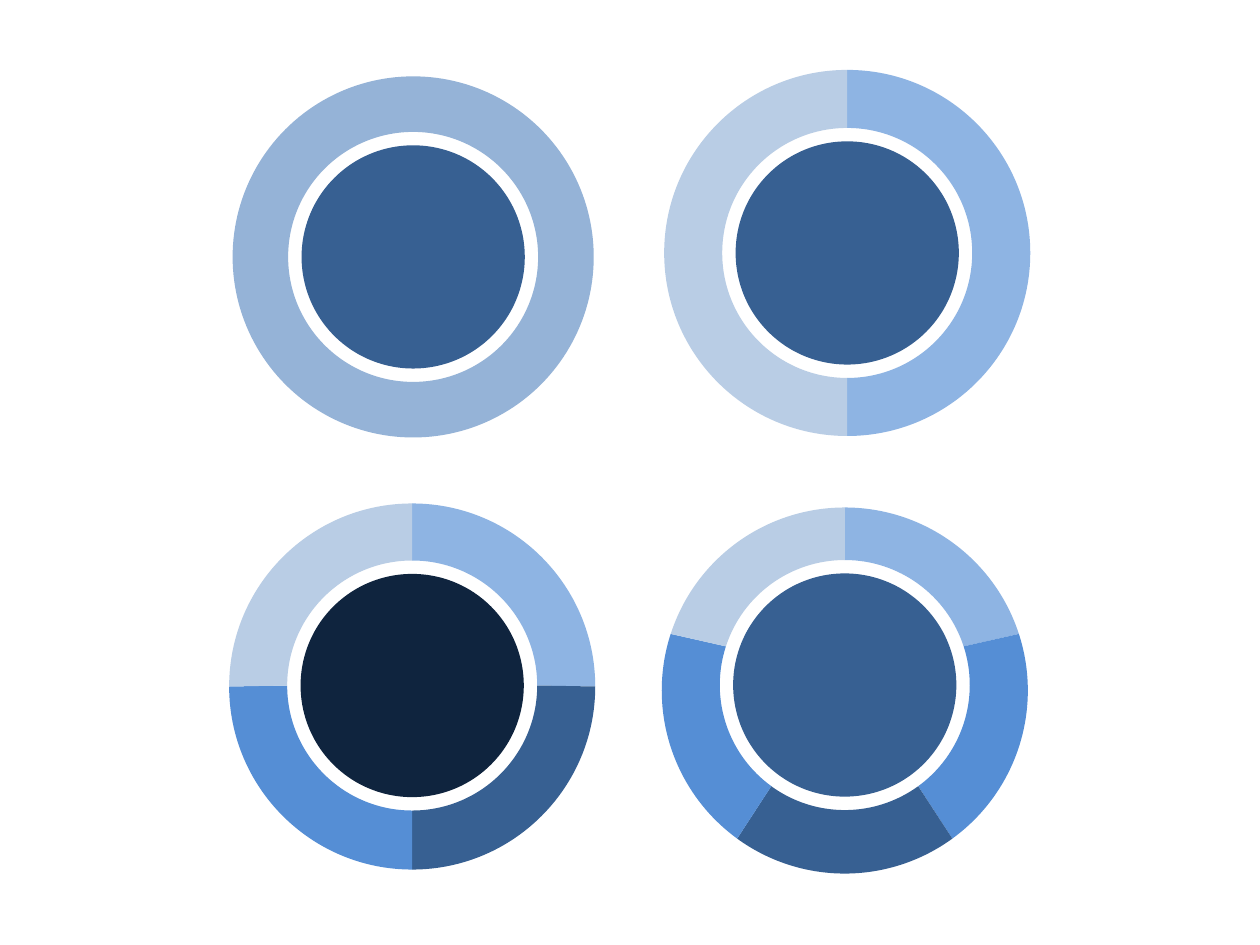
from dataclasses import dataclass
from math import cos, radians, sin, tan

from lxml import etree
from pptx import Presentation
from pptx import util as u
from pptx.dml.color import RGBColor
from pptx.enum import shapes
from pptx.oxml.ns import qn


@dataclass(frozen=True)
class Theme:
    pale: str = "B9CDE5"
    soft: str = "95B3D7"
    light: str = "8EB4E3"
    mid: str = "558ED5"
    dark: str = "376092"
    navy: str = "0F243E"


@dataclass(frozen=True)
class Wheel:
    """A hub inside a ring cut into equal sectors, clockwise from the top (cm)."""
    x: float
    ring_y: float
    hub_y: float
    outer_radius: float
    hub_color: str
    sector_colors: tuple[str, ...]


THEME = Theme()
INNER_RADIUS = 2.52
HUB_RADIUS = 2.25

WHEELS = (
    Wheel(8.33, 5.18, 5.18, 3.64, THEME.dark, (THEME.soft,)),
    Wheel(17.08, 5.1, 5.1, 3.69, THEME.dark, (THEME.light, THEME.pale)),
    Wheel(8.31, 13.84, 13.82, 3.69, THEME.navy,
          (THEME.light, THEME.dark, THEME.mid, THEME.pale)),
    Wheel(17.03, 13.92, 13.81, 3.69, THEME.dark,
          (THEME.light, THEME.mid, THEME.dark, THEME.mid, THEME.pale)),
)


def paint(shape, color: str) -> None:
    shape.shadow.inherit = False
    shape.fill.solid()
    shape.fill.fore_color.rgb = RGBColor.from_string(color)
    shape.line.fill.background()


def add_round(group, kind, x: float, y: float, radius: float, color: str):
    shape = group.shapes.add_shape(
        kind, u.Cm(x - radius), u.Cm(y - radius), u.Cm(2 * radius), u.Cm(2 * radius))
    paint(shape, color)
    return shape


def arc(x: float, y: float, radius: float, angles: list[float]) -> list:
    """Bézier points through the angles, in degrees clockwise from the top."""
    def point(angle: float, along: float = 0):
        a = radians(angle)
        return (u.Cm(x + radius * (sin(a) + along * cos(a))),
                u.Cm(y - radius * (cos(a) - along * sin(a))))

    points = [point(angles[0])]
    for start, end in zip(angles, angles[1:]):
        handle = 4 / 3 * tan(radians(end - start) / 4)
        points += [point(start, handle), point(end, -handle), point(end)]
    return points


def bend(shape, curve_count: int) -> None:
    """Turn the straight runs of both arcs into cubic curves."""
    lines = list(shape.element.iter(qn("a:lnTo")))
    outer_end = 3 * curve_count
    inner_start = outer_end + 1
    starts = [*range(0, outer_end, 3),
              *range(inner_start, inner_start + outer_end, 3)]
    for start in starts:
        curve = etree.Element(qn("a:cubicBezTo"))
        lines[start].addprevious(curve)
        for line in lines[start:start + 3]:
            curve.append(line[0])
            line.getparent().remove(line)


def add_sector(group, wheel: Wheel, start: float, end: float, color: str) -> None:
    # Cutting at the quarter turns keeps the handles inside the outline's box
    quarters = [angle for angle in (90, 180, 270) if start < angle < end]
    angles = [start, *quarters, end]
    outer = arc(wheel.x, wheel.ring_y, wheel.outer_radius, angles)
    inner = arc(wheel.x, wheel.hub_y, INNER_RADIUS, angles)
    builder = group.shapes.build_freeform(*outer[0], scale=1.0)
    builder.add_line_segments(outer[1:] + inner[::-1], close=True)
    sector = builder.convert_to_shape()
    bend(sector, len(angles) - 1)
    paint(sector, color)


def add_wheel(slide, wheel: Wheel) -> None:
    group = slide.shapes.add_group_shape()

    # Ring: one whole band, or equal sectors
    count = len(wheel.sector_colors)
    if count == 1:
        ring = add_round(group, shapes.MSO_SHAPE.DONUT, wheel.x, wheel.ring_y,
                         wheel.outer_radius, wheel.sector_colors[0])
        ring.adjustments[0] = (1 - INNER_RADIUS / wheel.outer_radius) / 2
    else:
        for index, color in enumerate(wheel.sector_colors):
            add_sector(group, wheel, 360 * index / count, 360 * (index + 1) / count, color)

    # Hub
    add_round(group, shapes.MSO_SHAPE.OVAL, wheel.x, wheel.hub_y,
              HUB_RADIUS, wheel.hub_color)


def main() -> None:
    presentation = Presentation()
    presentation.slide_width = u.Cm(25.4)
    presentation.slide_height = u.Cm(19.05)
    slide = presentation.slides.add_slide(presentation.slide_layouts[6])
    for wheel in WHEELS:
        add_wheel(slide, wheel)
    presentation.save("out.pptx")


if __name__ == "__main__":
    main()
